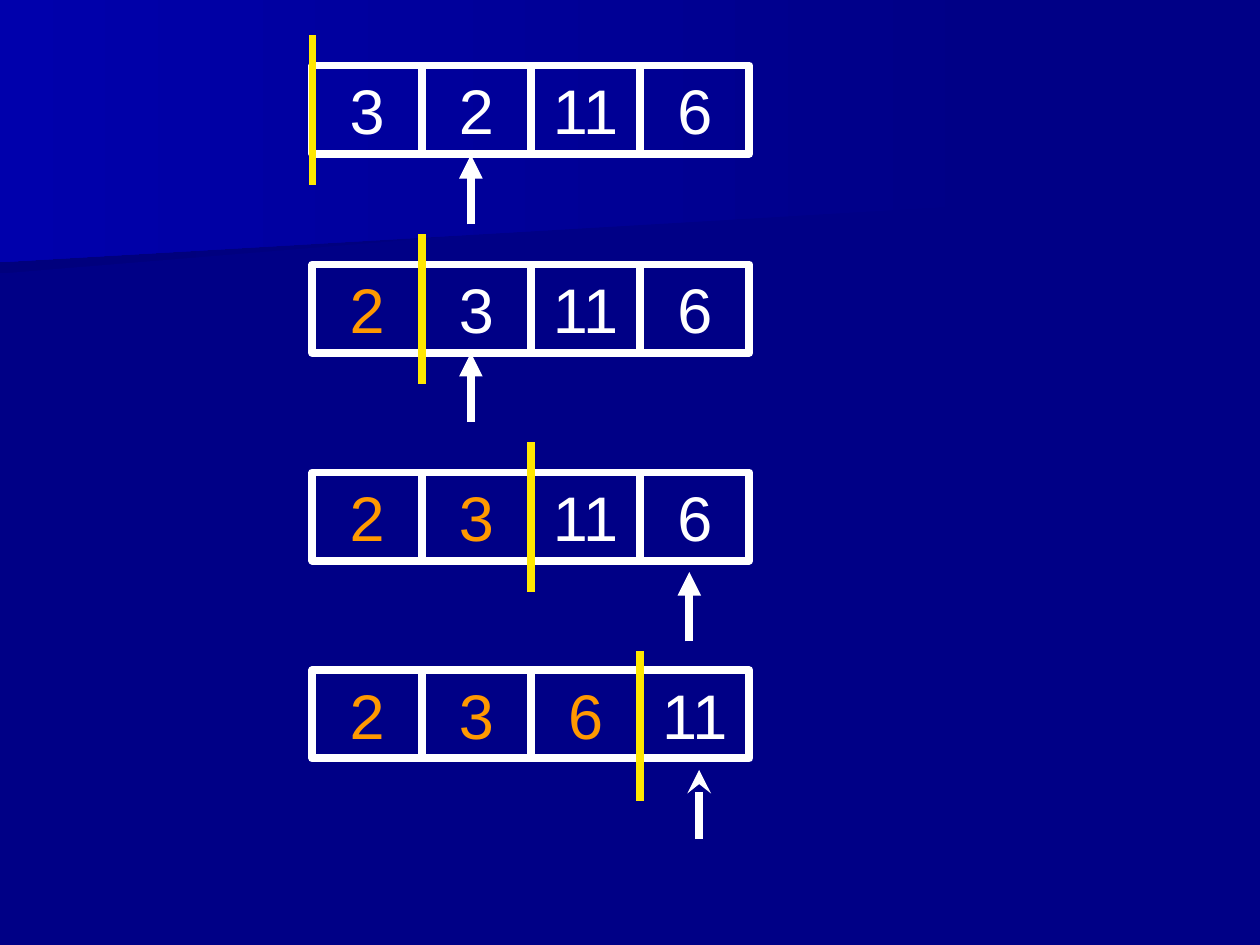
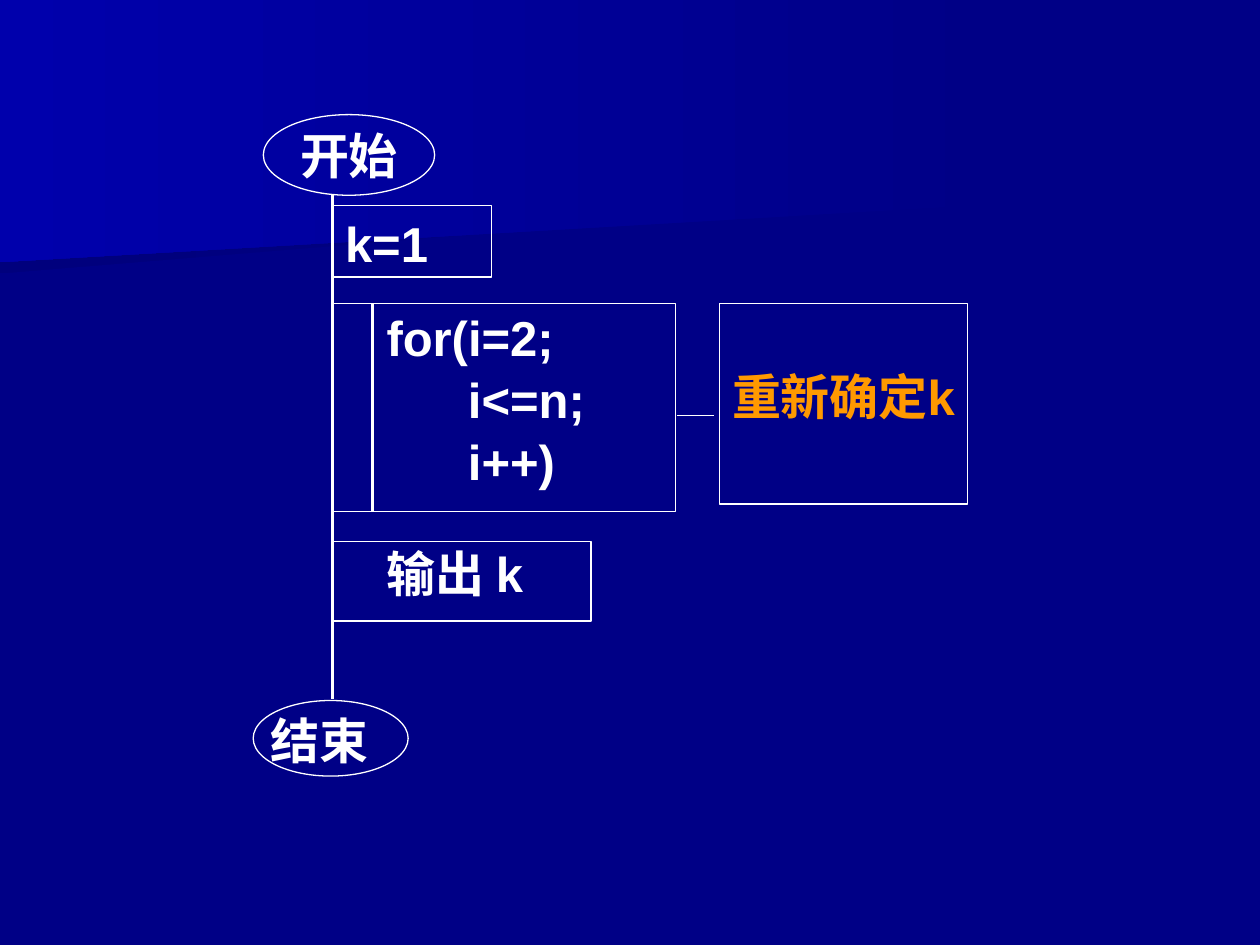
from dataclasses import dataclass
from typing import Optional

from lxml import etree
from pptx import Presentation
from pptx import util as u
from pptx.dml.color import RGBColor
from pptx.enum import shapes, text
from pptx.oxml import ns

# Shared look
NAVY, NAVY_DARK, NAVY_LIGHT = "000086", "00007D", "0000AC"
WHITE, YELLOW, ORANGE = "FFFFFF", "FFE701", "FF9900"
FONT = "Arial"
COLUMNS, ROWS = 100, 75
SLIDE_WIDTH, SLIDE_HEIGHT = u.Inches(10), u.Inches(7.5)

# Sorting diagram, in grid units
ARRAY_LEFT, CELL_WIDTH, CELL_HEIGHT = 24.8, 8.67, 7
MARKER_LENGTH, ARROW_LENGTH = 11.85, 5.5
THICK, THIN = 4.5, 0.75

CENTER, LEFT, JUSTIFY = text.PP_ALIGN.CENTER, text.PP_ALIGN.LEFT, text.PP_ALIGN.JUSTIFY
TOP, MIDDLE, BOTTOM = text.MSO_ANCHOR.TOP, text.MSO_ANCHOR.MIDDLE, text.MSO_ANCHOR.BOTTOM
RECTANGLE, OVAL = shapes.MSO_SHAPE.RECTANGLE, shapes.MSO_SHAPE.OVAL


@dataclass
class Step:
    """One state of the array; arrow_at is counted in cells, the rest in rows."""
    values: list[str]
    sorted_count: int
    top: float
    arrow_at: float
    arrow_drop: float
    marker_rise: float = 2.4
    arrowhead: str = "triangle"


@dataclass
class Node:
    """One flowchart part, placed in columns and rows."""
    left: float
    top: float
    width: float
    height: float
    label: str = ""
    outline: Optional[shapes.MSO_SHAPE] = RECTANGLE
    align: text.PP_ALIGN = CENTER
    anchor: text.MSO_ANCHOR = TOP
    inset: tuple[float, float] = (0.1, 0.1)
    bottom_inset: float = 0.1
    spacing: float = 1.0
    size: int = 28
    bold: bool = True
    color: str = WHITE
    line_width: float = THIN


STEPS = [
    Step(["3", "2", "11", "6"], 0, 5.2, 1.45, 7.1),
    Step(["2", "3", "11", "6"], 1, 21, 1.45, 7),
    Step(["2", "3", "11", "6"], 2, 37.5, 3.45, 7.9),
    Step(["2", "3", "6", "11"], 3, 53.2, 3.54, 7.9, 1.5, "stealth"),
]

FLOWCHART = [
    Node(20.9, 9.9, 13.6, 5.3, "开始", outline=None),
    Node(20.9, 9.1, 13.6, 6.4, outline=OVAL),
    Node(21.4, 56.3, 13.2, 5.4, "结束", outline=None, align=JUSTIFY),
    Node(20.1, 55.6, 12.3, 6, outline=OVAL),
    Node(29.5, 24.1, 24.1, 16.5, " for(i=2;\n       i<=n;\n       i++)",
         align=LEFT, spacing=1.05),
    Node(26.4, 24.1, 3.2, 16.5),
    Node(57.1, 24.1, 19.7, 15.9, "重新确定k", anchor=MIDDLE, bottom_inset=1.4,
         color=ORANGE),
    Node(26.4, 43, 20.5, 6.3, "输出 k "),
    Node(26.4, 16.3, 12.6, 5.7, "k=1", align=LEFT, anchor=BOTTOM,
         inset=(1, 0.5), bottom_inset=0.4),
]


def rgb(value: str) -> RGBColor:
    return RGBColor.from_string(value)


def across(columns: float) -> u.Emu:
    return u.Emu(round(SLIDE_WIDTH * columns / COLUMNS))


def down(rows: float) -> u.Emu:
    return u.Emu(round(SLIDE_HEIGHT * rows / ROWS))


def write_label(box, node: Node) -> None:
    frame = box.text_frame
    frame.word_wrap = True
    frame.vertical_anchor = node.anchor
    frame.margin_left = frame.margin_right = across(node.inset[0])
    frame.margin_top = down(node.inset[1])
    frame.margin_bottom = down(node.bottom_inset)
    frame.text = node.label
    for para in frame.paragraphs:
        para.alignment = node.align
        para.line_spacing = node.spacing
        for span in para.runs:
            span.font.name = FONT
            span.font.size = u.Pt(node.size)
            span.font.bold = node.bold
            span.font.color.rgb = rgb(node.color)


def draw_node(page, node: Node) -> None:
    place = (across(node.left), down(node.top), across(node.width), down(node.height))
    if node.outline is None:
        box = page.shapes.add_textbox(*place)
    else:
        box = page.shapes.add_shape(node.outline, *place)
        box.shadow.inherit = False
        box.fill.background()
        box.line.color.rgb = rgb(WHITE)
        box.line.width = u.Pt(node.line_width)
    if node.label:
        write_label(box, node)


def draw_line(page, start: tuple[float, float], end: tuple[float, float],
              color: str = WHITE, width: float = THIN,
              arrowhead: Optional[str] = None) -> None:
    line = page.shapes.add_connector(
        shapes.MSO_CONNECTOR.STRAIGHT,
        across(start[0]), down(start[1]), across(end[0]), down(end[1]))
    line.line.color.rgb = rgb(color)
    line.line.width = u.Pt(width)
    if arrowhead:
        etree.SubElement(line.line._get_or_add_ln(), ns.qn("a:tailEnd"), type=arrowhead)
    etree.SubElement(line._element.spPr, ns.qn("a:effectLst"))


def draw_band(page, points: list[tuple[float, float]], left_color: str):
    corners = [(across(x), down(y)) for x, y in points]
    builder = page.shapes.build_freeform(*corners[0])
    builder.add_line_segments(corners[1:], close=True)
    band = builder.convert_to_shape()
    band.shadow.inherit = False
    band.line.fill.background()
    band.fill.gradient()
    band.fill.gradient_angle = 180
    for stop, color in zip(band.fill.gradient_stops, (NAVY, left_color)):
        stop.color.rgb = rgb(color)
    return band


def set_backdrop(deck, layout, page) -> None:
    """Colour the master and move the two bands from the page to its layout."""
    fill = deck.slide_master.background.fill
    fill.solid()
    fill.fore_color.rgb = rgb(NAVY)
    bands = [
        draw_band(page, [(77.8, 15.3), (0, 21.7), (0, 10.1), (77.9, 10.1)], NAVY_DARK),
        draw_band(page, [(79.2, 16.2), (0, 20.8), (0, 0), (79.2, 0)], NAVY_LIGHT),
    ]
    for band in bands:
        layout.shapes.element.append(band._element)


def draw_step(page, step: Step) -> None:
    for index, value in enumerate(step.values):
        draw_node(page, Node(
            ARRAY_LEFT + index * CELL_WIDTH, step.top, CELL_WIDTH, CELL_HEIGHT, value,
            anchor=BOTTOM, inset=(1, 0.5), bottom_inset=0.5, size=36, bold=False,
            color=ORANGE if index < step.sorted_count else WHITE, line_width=THICK))
    # Border between the sorted and unsorted parts
    marker_x = ARRAY_LEFT + step.sorted_count * CELL_WIDTH
    marker_top = step.top - step.marker_rise
    draw_line(page, (marker_x, marker_top), (marker_x, marker_top + MARKER_LENGTH),
              YELLOW, THICK)
    # Pointer to the smallest remaining value
    arrow_x = ARRAY_LEFT + step.arrow_at * CELL_WIDTH
    arrow_tip = step.top + step.arrow_drop
    draw_line(page, (arrow_x, arrow_tip + ARROW_LENGTH), (arrow_x, arrow_tip),
              WHITE, THICK, step.arrowhead)


def main() -> None:
    deck = Presentation()
    deck.slide_width, deck.slide_height = SLIDE_WIDTH, SLIDE_HEIGHT
    blank = deck.slide_layouts[6]

    # Slide 1: selection sort, step by step
    sorting = deck.slides.add_slide(blank)
    set_backdrop(deck, blank, sorting)
    for step in STEPS:
        draw_step(sorting, step)

    # Slide 2: flowchart for finding k
    flow = deck.slides.add_slide(blank)
    for node in FLOWCHART:
        draw_node(flow, node)
    draw_line(flow, (26.4, 15.5), (26.4, 55.5), width=1.5)
    draw_line(flow, (53.7, 33), (56.7, 33))

    deck.save("out.pptx")


if __name__ == "__main__":
    main()
